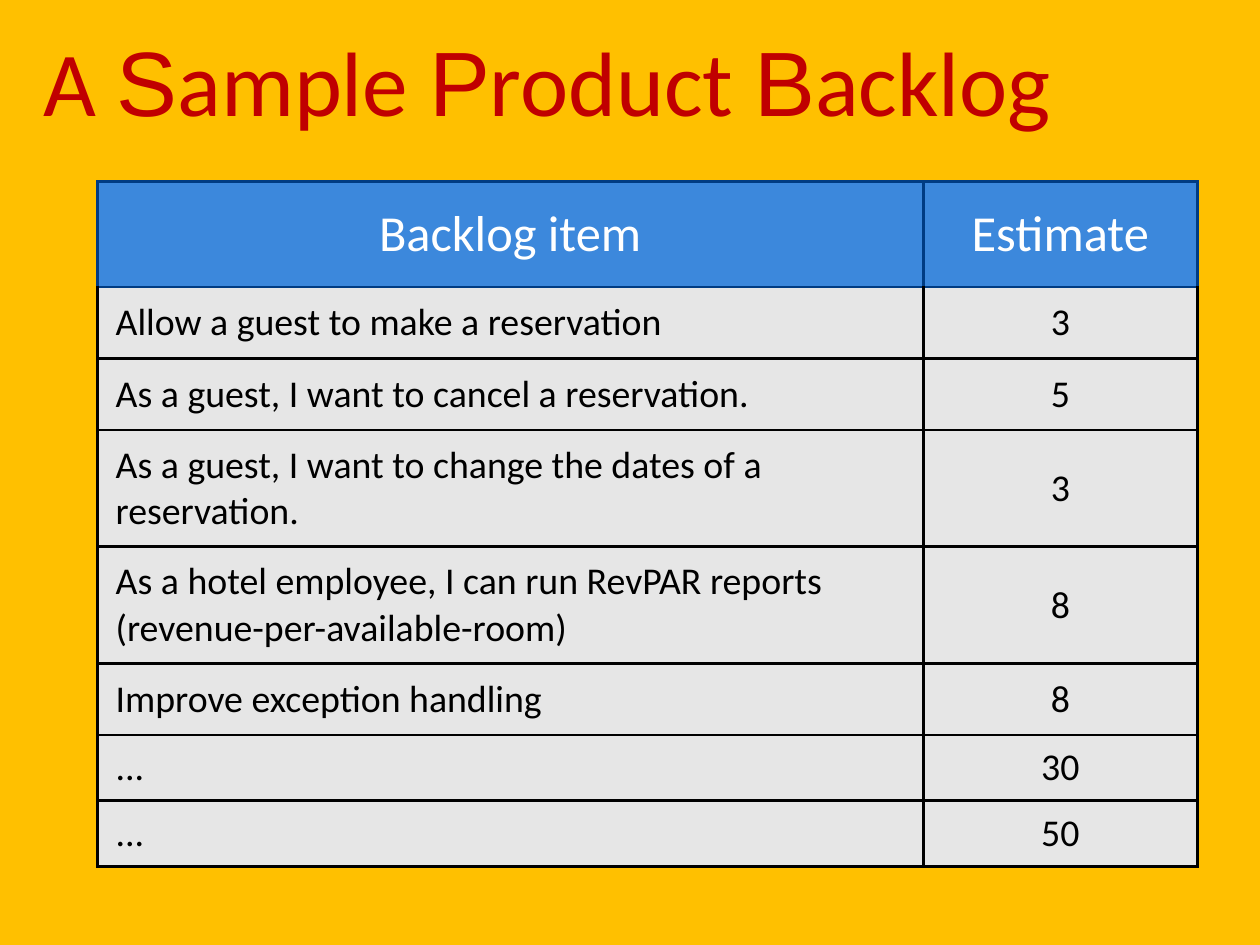
"""Build the sample product backlog slide."""
from dataclasses import dataclass
from typing import Any

import pptx
import pptx.dml.color
import pptx.enum.text
import pptx.oxml
import pptx.oxml.ns
import pptx.util

PX = 9144
ANCHOR = pptx.enum.text.MSO_ANCHOR
ALIGN = pptx.enum.text.PP_ALIGN


@dataclass(frozen=True)
class Theme:
    background: str = "FFC000"
    title: str = "C00000"
    header_text: str = "FFFFFF"
    header_fill: str = "3C88DC"
    header_line: str = "003C83"
    body_text: str = "000000"
    body_fill: str = "E6E6E6"
    body_line: str = "000000"
    font: str = "Calibri"
    initial_font: str = "Arial"
    title_size: int = 58
    header_size: int = 32
    body_size: int = 24
    border: int = 2


@dataclass(frozen=True)
class BacklogRow:
    item: str
    estimate: str
    height: int


THEME = Theme()
SLIDE_SIZE = (1111, 833)
TITLE_BOX = (38, 12, 1035, 117)
TABLE_ORIGIN = (86, 160)
COLUMN_WIDTHS = (728, 242)
CELL_MARGIN = 4
ITEM_INDENT = 12
TITLE_RUNS = (
    ("A ", THEME.font), ("S", THEME.initial_font), ("ample ", THEME.font),
    ("P", THEME.initial_font), ("roduct ", THEME.font),
    ("B", THEME.initial_font), ("acklog", THEME.font),
)
ROWS = (
    BacklogRow("Backlog item", "Estimate", 93),
    BacklogRow("Allow a guest to make a reservation", "3", 63),
    BacklogRow("As a guest, I want to cancel a reservation.", "5", 63),
    BacklogRow("As a guest, I want to change the dates of a reservation.", "3", 103),
    BacklogRow("As a hotel employee, I can run RevPAR reports (revenue-per-available-room)", "8", 103),
    BacklogRow("Improve exception handling", "8", 63),
    BacklogRow("...", "30", 58),
    BacklogRow("...", "50", 58),
)


def px(length: int) -> pptx.util.Emu:
    return pptx.util.Emu(length * PX)


def rgb(value: str) -> pptx.dml.color.RGBColor:
    return pptx.dml.color.RGBColor.from_string(value)


def apply(target: Any, values: dict[str, Any]) -> None:
    for name, value in values.items():
        setattr(target, name, value)


def margins(length: int) -> dict[str, Any]:
    return {f"margin_{side}": px(length) for side in ("left", "top", "right", "bottom")}


def add_run(p: Any, text: str, font: str, size: int, color: str) -> None:
    r = p.add_run()
    r.text = text
    apply(r.font, {"name": font, "size": pptx.util.Pt(size), "bold": False})
    r.font.color.rgb = rgb(color)


def add_title(s: Any) -> None:
    tf = s.shapes.add_textbox(*map(px, TITLE_BOX)).text_frame
    apply(tf, {"word_wrap": True, "vertical_anchor": ANCHOR.MIDDLE, **margins(0)})
    for text, font in TITLE_RUNS:
        add_run(tf.paragraphs[0], text, font, THEME.title_size, THEME.title)


def add_borders(cell: Any, colors: dict[str, str]) -> None:
    tc_pr = cell._tc.get_or_add_tcPr()
    for side, color in colors.items():
        tc_pr.append(pptx.oxml.parse_xml(
            f'<a:ln{side} {pptx.oxml.ns.nsdecls("a")} w="{pptx.util.Pt(THEME.border)}">'
            f'<a:solidFill><a:srgbClr val="{color}"/></a:solidFill></a:ln{side}>'))


def fill_cell(cell: Any, text: str, row: int, column: int) -> None:
    header = row == 0
    line = THEME.header_line if header else THEME.body_line
    top = THEME.header_line if row <= 1 else THEME.body_line
    add_borders(cell, {"L": line, "R": line, "T": top, "B": line})
    cell.fill.solid()
    cell.fill.fore_color.rgb = rgb(THEME.header_fill if header else THEME.body_fill)
    apply(cell, {"vertical_anchor": ANCHOR.MIDDLE, **margins(CELL_MARGIN)})
    p = cell.text_frame.paragraphs[0]
    if header or column:
        p.alignment = ALIGN.CENTER
    else:
        p.alignment = ALIGN.LEFT
        p._p.get_or_add_pPr().set("marL", str(px(ITEM_INDENT)))
    size, color = ((THEME.header_size, THEME.header_text) if header
                   else (THEME.body_size, THEME.body_text))
    add_run(p, text, THEME.font, size, color)


def add_backlog(s: Any) -> None:
    size = (sum(COLUMN_WIDTHS), sum(row.height for row in ROWS))
    table = s.shapes.add_table(
        len(ROWS), len(COLUMN_WIDTHS), *map(px, TABLE_ORIGIN + size)).table
    apply(table, {"first_row": False, "horz_banding": False})
    for column, width in zip(table.columns, COLUMN_WIDTHS):
        column.width = px(width)
    for i, row in enumerate(ROWS):
        table.rows[i].height = px(row.height)
        for j, text in enumerate((row.item, row.estimate)):
            fill_cell(table.cell(i, j), text, i, j)


def main() -> None:
    prs = pptx.Presentation()
    prs.slide_width, prs.slide_height = map(px, SLIDE_SIZE)
    s = prs.slides.add_slide(prs.slide_layouts[6])
    s.background.fill.solid()
    s.background.fill.fore_color.rgb = rgb(THEME.background)
    add_title(s)
    add_backlog(s)
    prs.save("out.pptx")


if __name__ == "__main__":
    main()
